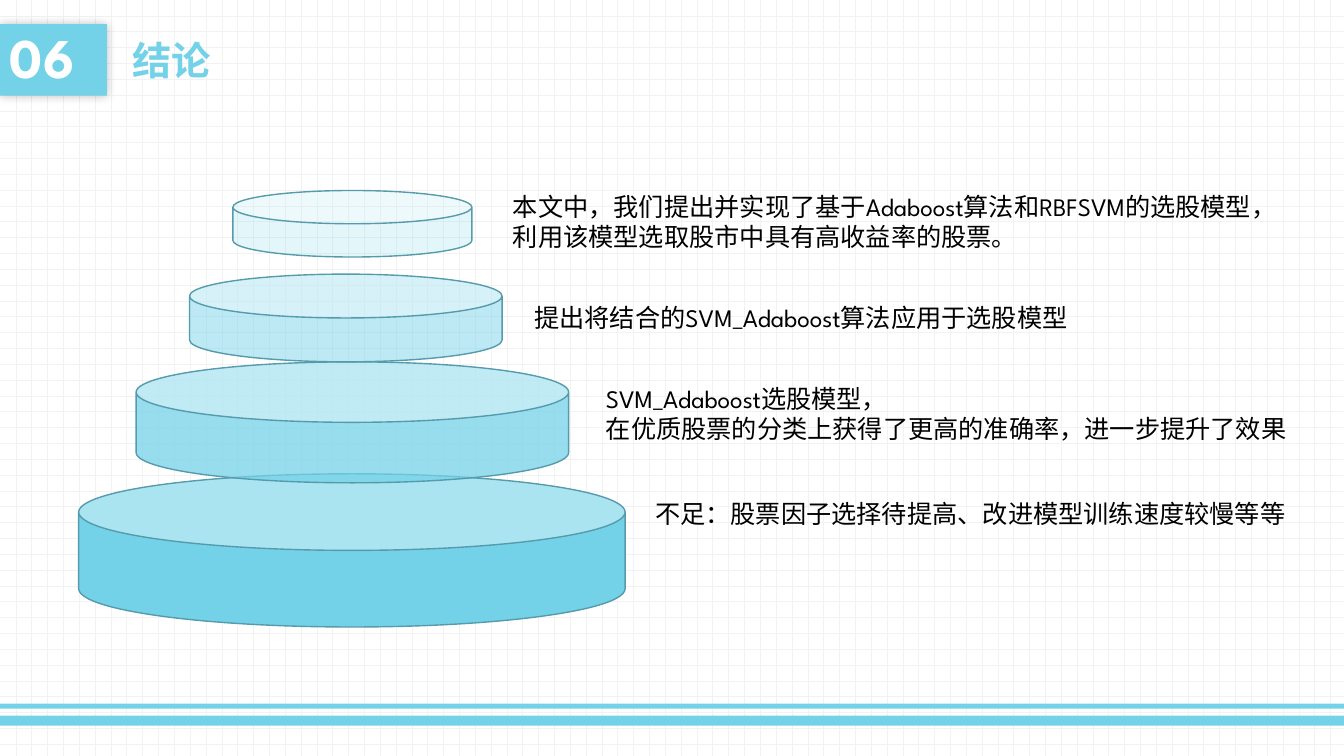
from lxml.etree import SubElement
from pptx import Presentation
from pptx.dml.color import RGBColor
from pptx.enum.dml import MSO_PATTERN
from pptx.enum.shapes import MSO_SHAPE
from pptx.enum.text import MSO_ANCHOR, MSO_AUTO_SIZE, PP_ALIGN
from pptx.oxml.ns import qn
from pptx.util import Inches, Pt

COLORS = {
    "sky": "73D2E8",
    "outline": "559BAC",
    "white": "FFFFFF",
    "grid": "F2F2F2",
    "black": "000000",
}
FONT = "League Spartan"
HEADING_FRAME = {"vertical_anchor": MSO_ANCHOR.MIDDLE, "word_wrap": True,
                 "auto_size": MSO_AUTO_SIZE.NONE}
NOTE_FRAME = {"word_wrap": False, "auto_size": MSO_AUTO_SIZE.SHAPE_TO_FIT_TEXT}
HEADING_PARAGRAPH = {"alignment": PP_ALIGN.LEFT, "space_before": Pt(10)}
BADGE_PARAGRAPH = {**HEADING_PARAGRAPH, "line_spacing": 0.9}
NOTE_PARAGRAPH = {"alignment": PP_ALIGN.LEFT}
BADGE_FONT = {"name": FONT, "size": Pt(40), "bold": True}
TITLE_FONT = {"name": FONT, "size": Pt(28), "bold": True}
NOTE_FONT = {"name": FONT, "size": Pt(18)}

BARS = [(0, 94.67, 100, 1.33), (0, 93.07, 100, 0.67)]
TIERS = [
    ((5.85, 62.67, 40.66, 20.27), 100),
    ((10.13, 47.87, 32.18, 16), 74),
    ((14.1, 36.27, 23.26, 11.6), 48),
    ((17.33, 25.2, 17.78, 8.8), 20),
]
CONCLUSIONS = [
    ((37.43, 24.67, 62.04, 9.47),
     ["本文中，我们提出并实现了基于Adaboost算法和RBFSVM的选股模型，",
      "利用该模型选取股市中具有高收益率的股票。"]),
    ((39.01, 39.33, 44.04, 5.33),
     ["提出将结合的SVM_Adaboost算法应用于选股模型"]),
    ((44.34, 50, 52.66, 9.47),
     ["SVM_Adaboost选股模型，",
      "在优质股票的分类上获得了更高的准确率，进一步提升了效果"]),
    ((48.01, 65.2, 48.84, 9.47),
     ["不足：股票因子选择待提高、改进模型训练速度较慢等等"]),
]


def color(name):
    return RGBColor.from_string(COLORS[name])


def apply(target, formats):
    for attribute, value in formats.items():
        setattr(target, attribute, value)


class SlideBuilder:
    def __init__(self, deck):
        self.width, self.height = deck.slide_width, deck.slide_height
        self.slide = deck.slides.add_slide(deck.slide_layouts[5])

    def place(self, box):
        sides = (self.width, self.height) * 2
        return [round(share * side / 100) for share, side in zip(box, sides)]

    def background(self):
        fill = self.slide.background.fill
        fill.patterned()
        fill.pattern = MSO_PATTERN.DOTTED_GRID
        fill.fore_color.rgb = color("grid")
        fill.back_color.rgb = color("white")

    def set_text(self, holder, lines, font, ink, frame, paragraph_format):
        text_frame = holder.text_frame
        text_frame.text = "\n".join(lines)
        apply(text_frame, frame)
        for paragraph in text_frame.paragraphs:
            apply(paragraph, paragraph_format)
            for run in paragraph.runs:
                apply(run.font, font)
                run.font.color.rgb = color(ink)

    def block(self, kind, box):
        block = self.slide.shapes.add_shape(kind, *self.place(box))
        block.shadow.inherit = False
        block.fill.solid()
        block.fill.fore_color.rgb = color("sky")
        block.line.fill.background()
        return block

    def tier(self, box, opacity):
        tier = self.block(MSO_SHAPE.CAN, box)
        tier.adjustments[0] = 0.5
        if opacity < 100:
            tint = tier.element.spPr.find(".//" + qn("a:srgbClr"))
            SubElement(tint, qn("a:alpha"), val=str(opacity * 1000))
        tier.line.color.rgb = color("outline")
        tier.line.width = Pt(1)

    def badge(self, box, number):
        badge = self.block(MSO_SHAPE.RECTANGLE, box)
        effects = badge.element.spPr.find(qn("a:effectLst"))
        glow = SubElement(effects, qn("a:outerShdw"), blurRad=str(Pt(7)),
                          dist="0", dir="0", algn="ctr", rotWithShape="0")
        shade = SubElement(glow, qn("a:srgbClr"), val=COLORS["black"])
        SubElement(shade, qn("a:alpha"), val="25000")
        self.set_text(badge, [number], BADGE_FONT, "white", HEADING_FRAME, BADGE_PARAGRAPH)

    def title(self, box, heading):
        title = self.slide.shapes.title
        apply(title, dict(zip(("left", "top", "width", "height"), self.place(box))))
        self.set_text(title, [heading], TITLE_FONT, "sky", HEADING_FRAME, HEADING_PARAGRAPH)

    def note(self, box, lines):
        note = self.slide.shapes.add_textbox(*self.place(box))
        self.set_text(note, lines, NOTE_FONT, "black", NOTE_FRAME, NOTE_PARAGRAPH)


def main():
    deck = Presentation()
    deck.slide_width, deck.slide_height = Inches(13.33), Inches(7.5)
    builder = SlideBuilder(deck)
    builder.background()
    for bar in BARS:
        builder.block(MSO_SHAPE.RECTANGLE, bar)
    builder.badge((0, 3.2, 7.95, 9.47), "06")
    builder.title((9.08, 3.2, 52.81, 9.47), "结论")
    for box, opacity in TIERS:
        builder.tier(box, opacity)
    for box, lines in CONCLUSIONS:
        builder.note(box, lines)
    deck.save("out.pptx")


if __name__ == "__main__":
    main()
